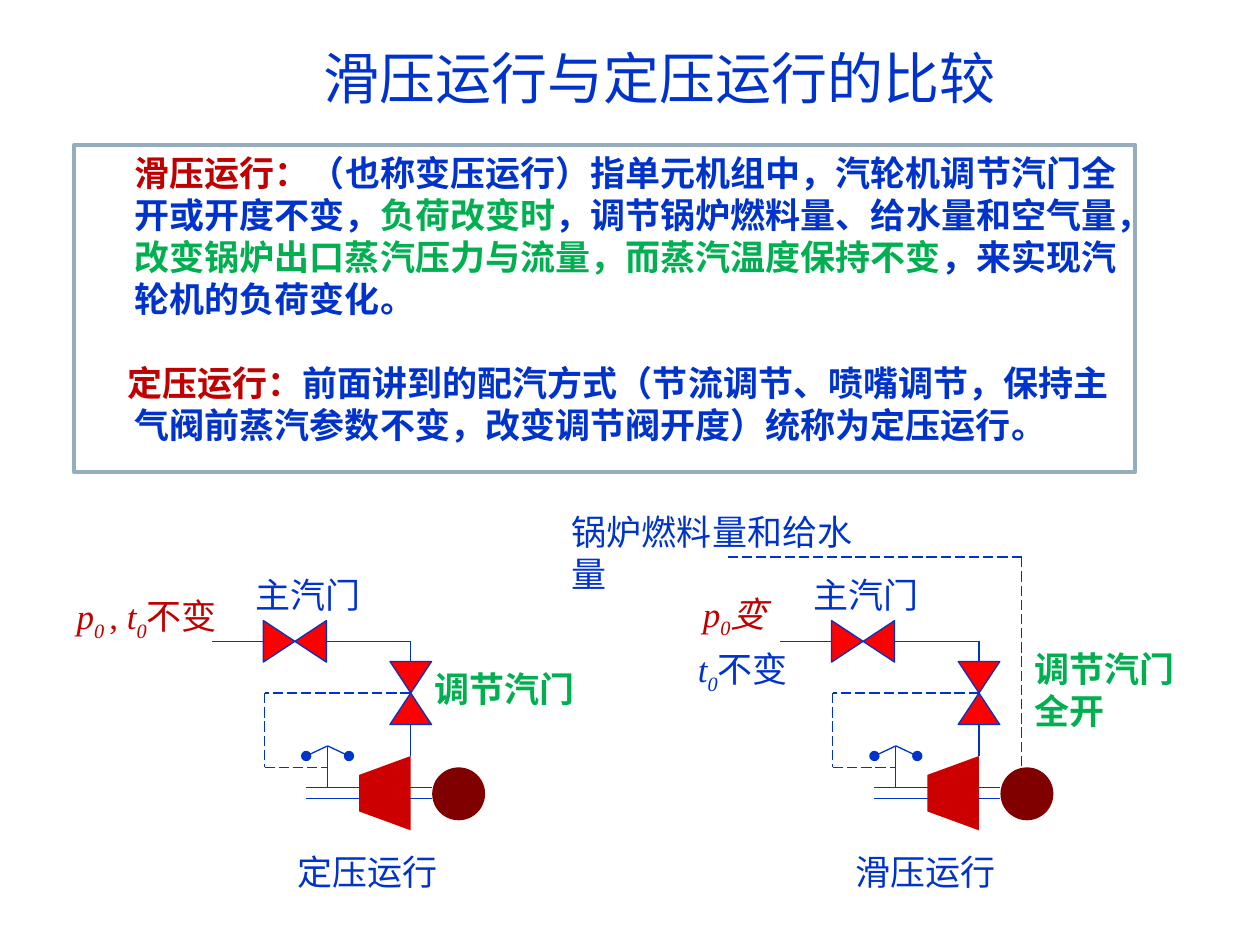
"""Build a slide comparing sliding-pressure and constant-pressure operation."""
from pptx import Presentation
from pptx.dml.color import RGBColor
from pptx.enum.dml import MSO_LINE
from pptx.enum.shapes import MSO_CONNECTOR, MSO_SHAPE
from pptx.enum.text import MSO_ANCHOR, MSO_AUTO_SIZE
from pptx.oxml.ns import qn
from pptx.util import Inches, Pt
from lxml.etree import SubElement

COLORS = {
    "blue": "0033CC", "red": "C00000", "green": "00B050", "frame": "95ADBC",
    "valve": "FF0000", "turbine": "CC0000", "generator": "800000",
}
SERIF = "Times New Roman"
SANS = "Arial"
DIAGRAM_SHIFT = 4.51


def rgb(name):
    """Return the named colour."""
    return RGBColor.from_string(COLORS[name])


def paint(shape, fill=None, line=None, width=0.75):
    """Set the fill and outline of a shape and drop its shadow."""
    shape.shadow.inherit = False
    if fill:
        shape.fill.solid()
        shape.fill.fore_color.rgb = rgb(fill)
    else:
        shape.fill.background()
    if line:
        shape.line.color.rgb = rgb(line)
        shape.line.width = Pt(width)
    else:
        shape.line.fill.background()


def add_lines(page, points, dashed=False, dot=False):
    """Join successive points with straight blue lines."""
    for start, end in zip(points, points[1:]):
        line = page.shapes.add_connector(
            MSO_CONNECTOR.STRAIGHT, *(Inches(value) for value in start + end))
        line.line.color.rgb = rgb("blue")
        line.line.width = Pt(0.75)
        if dashed:
            line.line.dash_style = MSO_LINE.LONG_DASH
        if dot:
            SubElement(line.line._get_or_add_ln(), qn("a:tailEnd"), type="oval")
        SubElement(line._element.spPr, qn("a:effectLst"))


def add_valve(page, x, y, upright):
    """Draw two triangles whose tips meet at the given point."""
    width, height = 0.33, 0.25
    for side in (-1, 1):
        middle_x = x if upright else x + side * height / 2
        middle_y = y + side * height / 2 if upright else y
        part = page.shapes.add_shape(
            MSO_SHAPE.ISOSCELES_TRIANGLE, Inches(middle_x - width / 2),
            Inches(middle_y - height / 2), Inches(width), Inches(height))
        part.rotation = (90 - 90 * side) if upright else (180 + 90 * side)
        paint(part, "valve", "blue")


def add_turbine(page, right):
    """Draw the turbine as a trapezoid widening to the right."""
    left = right - 0.41
    corners = [(right, 6), (left, 6.15), (left, 6.44), (right, 6.59)]
    points = [(Inches(x), Inches(y)) for x, y in corners]
    builder = page.shapes.build_freeform(*points[0], scale=1.0)
    builder.add_line_segments(points[1:], close=True)
    paint(builder.convert_to_shape(), "turbine")


def add_spans(para, spans, size, font, color=None, bold=False):
    """Fill a paragraph with (text, style) spans over shared font settings."""
    para.font.size = Pt(size)
    para.font.name = font
    para.font.bold = bold
    if color:
        para.font.color.rgb = rgb(color)
    for text, style in spans:
        span = para.add_run()
        span.text = text
        if "color" in style:
            span.font.color.rgb = rgb(style["color"])
        if "font" in style:
            span.font.name = style["font"]
        if style.get("italic"):
            span.font.italic = True
        if style.get("sub"):
            span.font._element.set("baseline", "-25000")


def add_label(page, place, spans, font=SERIF, color="blue", size=20,
              bold=False, wrap=True):
    """Add a one-paragraph text box."""
    box = page.shapes.add_textbox(*(Inches(value) for value in place))
    frame = box.text_frame
    frame.word_wrap = wrap
    frame.auto_size = MSO_AUTO_SIZE.SHAPE_TO_FIT_TEXT
    if isinstance(spans, str):
        spans = [(spans, {})]
    add_spans(frame.paragraphs[0], spans, size, font, color, bold)


def add_definitions(page):
    """Add the framed definitions of both modes of operation."""
    box = page.shapes.add_shape(
        MSO_SHAPE.RECTANGLE, Inches(0.59), Inches(1.15), Inches(8.42), Inches(2.6))
    paint(box, line="frame", width=2.25)
    frame = box.text_frame
    frame.word_wrap = True
    frame.vertical_anchor = MSO_ANCHOR.TOP
    red, blue, green = ({"color": name} for name in ("red", "blue", "green"))
    sliding = [
        ("滑压运行：", red),
        ("（也称变压运行）指单元机组中，汽轮机调节汽门全开或开度不变，", blue),
        ("负荷改变时", green),
        ("，调节锅炉燃料量、给水量和空气量，", blue),
        ("改变锅炉出口蒸汽压力与流量，而蒸汽温度保持不变", green),
        ("，来实现汽轮机的负荷变化。", blue),
    ]
    constant = [
        ("定压运行：", red),
        ("前面讲到的配汽方式（节流调节、喷嘴调节，保持主气阀前蒸汽参数不变，"
         "改变调节阀开度）统称为定压运行。", blue),
    ]
    first, second = frame.paragraphs[0], frame.add_paragraph()
    second.space_before = Pt(24)
    for para, spans, indent in ((first, sliding, 0), (second, constant, -0.06)):
        properties = para._p.get_or_add_pPr()
        properties.set("marL", str(Inches(0.38)))
        properties.set("indent", str(Inches(indent)))
        properties.set("algn", "l")
        add_spans(para, spans, 20, SANS, bold=True)


def add_plant(page, shift):
    """Draw the steam line, valves, governor, turbine and generator."""
    steam, governor, signal = 3.26 + shift, 2.6 + shift, 2.1 + shift
    add_lines(page, [(1.68 + shift, 5.09), (steam, 5.09), (steam, 6)])
    for y in (6.25, 6.34):
        add_lines(page, [(2.43 + shift, y), (3.43 + shift, y)])
    generator = page.shapes.add_shape(
        MSO_SHAPE.OVAL, Inches(3.43 + shift), Inches(6.09), Inches(0.42), Inches(0.42))
    paint(generator, "generator")
    add_turbine(page, steam)
    add_lines(page, [(governor, 6.25), (governor, 5.92)])
    for side in (-1, 1):
        add_lines(page, [(governor, 5.92), (governor + side * 0.17, 6)], dot=True)
    add_valve(page, steam, 5.5, upright=True)
    add_lines(page, [(steam, 5.5), (signal, 5.5), (signal, 6.09), (governor, 6.09)],
              dashed=True)
    add_valve(page, 2.34 + shift, 5.09, upright=False)


def add_labels(page):
    """Add the title, captions and diagram labels."""
    italic, sub = {"italic": True}, {"italic": True, "sub": True}
    add_label(page, (0.51, 4.67, 1.75, 0.48),
              [("p", italic), ("0 ", sub), (", ", {}), ("t", italic), ("0", sub),
               ("不变", {})], color="red")
    add_label(page, (5.48, 4.65, 0.83, 0.48),
              [("p", italic), ("0", sub), ("变", {"italic": True, "font": SANS})],
              color="red", wrap=False)
    add_label(page, (5.44, 5.09, 1.25, 0.48),
              [("t", italic), ("0", sub), ("不变", {})])
    add_label(page, (3.35, 5.25, 1.5, 0.44), "调节汽门", color="green", bold=True)
    add_label(page, (8.11, 5.09, 1.5, 0.77), "调节汽门全开", color="green", bold=True)
    for left in (1.93, 6.36):
        add_label(page, (left, 4.5, 1.5, 0.44), "主汽门")
    add_label(page, (4.44, 4, 2.7, 0.44), "锅炉燃料量和给水量", SANS, wrap=False)
    for left, caption in ((2.26, "定压运行"), (6.69, "滑压运行")):
        add_label(page, (left, 6.7, 1.31, 0.44), caption, SANS, wrap=False)
    add_label(page, (2.47, 0.3, 5.54, 0.64), "滑压运行与定压运行的比较", SANS,
              size=32, wrap=False)


def main():
    """Build and save the slide."""
    deck = Presentation()
    deck.slide_width, deck.slide_height = Inches(10), Inches(7.5)
    page = deck.slides.add_slide(deck.slide_layouts[6])
    add_definitions(page)
    add_lines(page, [(8.11, 6.08), (8.11, 4.42), (5.77, 4.42)], dashed=True)
    for shift in (0, DIAGRAM_SHIFT):
        add_plant(page, shift)
    add_labels(page)
    deck.save("out.pptx")


if __name__ == "__main__":
    main()
